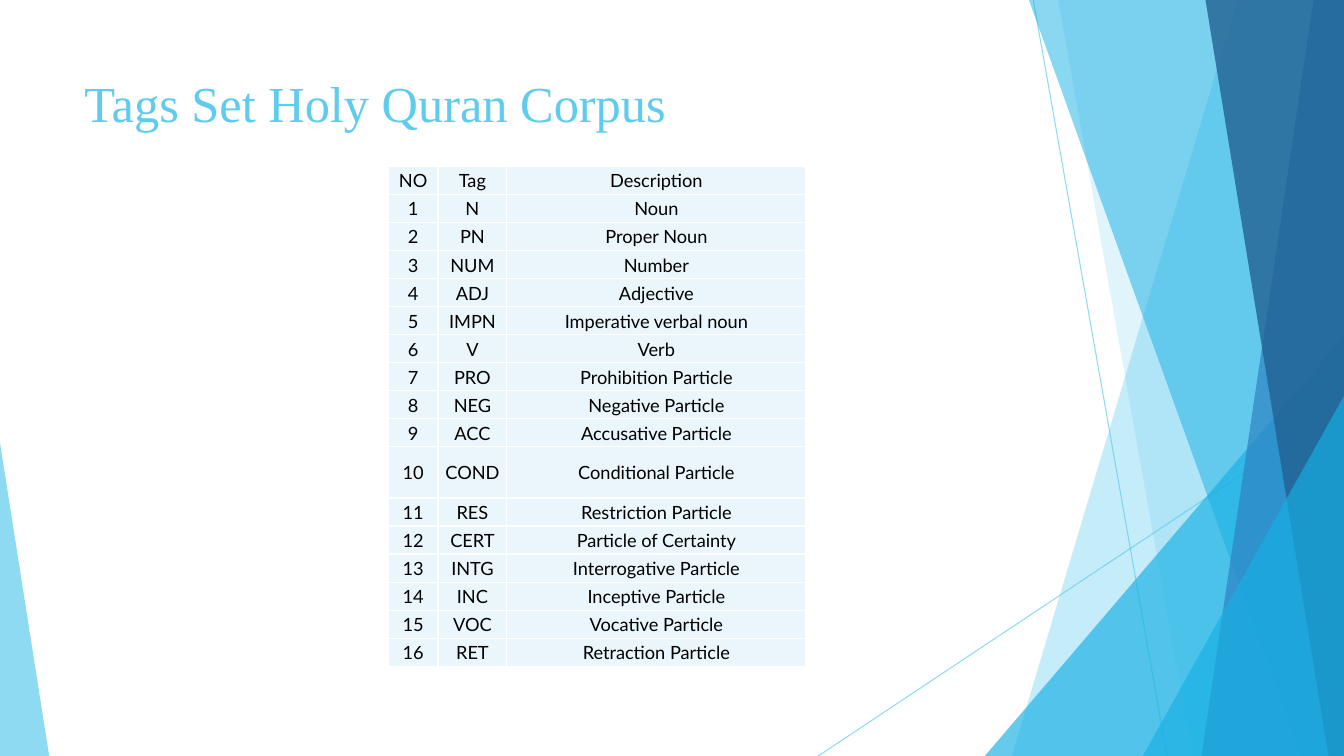
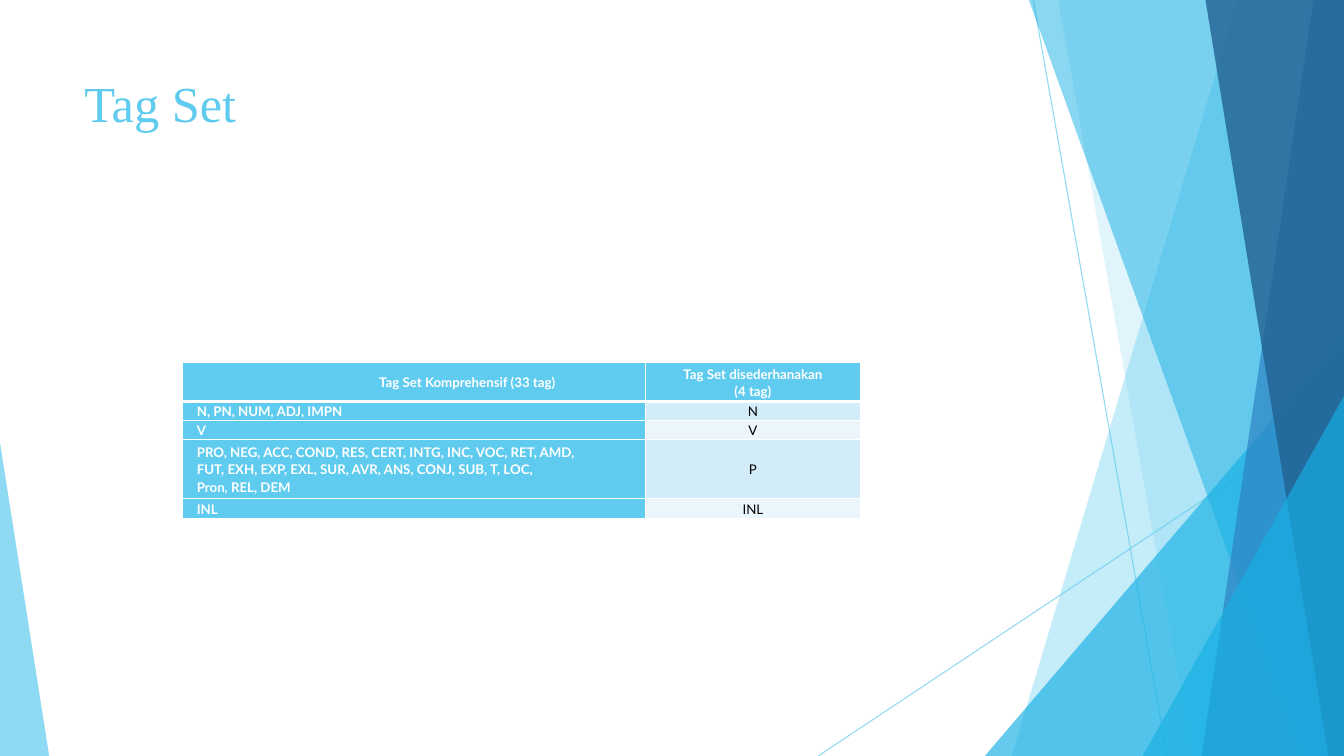
from lxml import etree
from pptx import Presentation
from pptx.dml.color import RGBColor
from pptx.enum.shapes import MSO_CONNECTOR, MSO_SHAPE
from pptx.enum.text import MSO_ANCHOR, PP_ALIGN
from pptx.oxml.ns import qn
from pptx.util import Cm, Pt

STRAIGHT = MSO_CONNECTOR.STRAIGHT
TRIANGLE = MSO_SHAPE.ISOSCELES_TRIANGLE
MIDDLE = MSO_ANCHOR.MIDDLE
CENTER, LEFT = PP_ALIGN.CENTER, PP_ALIGN.LEFT

COLORS = {
    "sky": "5FCBEF", "cyan": "17B0E4", "blue": "2E83C3", "navy": "226292",
    "pale": "EAF6FC", "light": "D2ECF9", "white": "FFFFFF", "black": "000000",
}
WIDTH, HEIGHT = 33.87, 19.05
TITLE_FONT, TABLE_FONT = "Times New Roman", "Lato"

# Start x, start y, end x, end y
RAYS = [(26.04, 0, 29.41, HEIGHT), (WIDTH, 10.24, 20.62, HEIGHT)]

# Back to front. A band runs to the right edge: top x, bottom x.
# A peak stands on the bottom edge: left, top, width, apex position.
FACETS = [
    ("band", (31.19, 25.5), "sky", 36),
    ("band", (26.67, 30.05), "sky", 20),
    ("peak", (24.82, 8.46, 9.05, 1), "cyan", 66),
    ("band", (25.93, 32.79), "cyan", 50),
    ("band", (33.1, 30.28), "blue", 70),
    ("band", (30.38, 33.48), "navy", 80),
    ("peak", (28.8, 9.98, 5.07, 1), "cyan", 66),
    ("peak", (0, 11.15, 1.24, 0), "sky", 70),
]


def add_page(deck, title):
    """Add a slide with the faceted backdrop and its title."""
    page = deck.slides.add_slide(deck.slide_layouts[6])
    shapes = page.shapes
    painted = []
    for ray in RAYS:
        line = shapes.add_connector(STRAIGHT, *[Cm(value) for value in ray])
        line.line.color.rgb = RGBColor.from_string(COLORS["sky"])
        line.line.width = Pt(0.75)
        etree.SubElement(line._element.spPr, qn("a:effectLst"))
        painted.append((line, 70))
    for kind, numbers, color, opacity in FACETS:
        if kind == "band":
            top_x, bottom_x = numbers
            builder = shapes.build_freeform(Cm(top_x), 0)
            corners = [(WIDTH, 0), (WIDTH, HEIGHT), (bottom_x, HEIGHT)]
            builder.add_line_segments([(Cm(x), Cm(y)) for x, y in corners])
            facet = builder.convert_to_shape()
        else:
            left, top, width, apex = numbers
            facet = shapes.add_shape(
                TRIANGLE, Cm(left), Cm(top), Cm(width), Cm(HEIGHT - top))
            facet.adjustments[0] = apex
        facet.shadow.inherit = False
        facet.fill.solid()
        facet.fill.fore_color.rgb = RGBColor.from_string(COLORS[color])
        facet.line.fill.background()
        painted.append((facet, opacity))
    for shape, opacity in painted:
        paint = next(shape._element.spPr.iter(qn("a:srgbClr")))
        etree.SubElement(paint, qn("a:alpha"), val=str(opacity * 1000))

    box = shapes.add_textbox(Cm(1.88), Cm(1.7), Cm(23.88), Cm(3.66))
    box.text_frame.word_wrap = True
    para = box.text_frame.paragraphs[0]
    para.text = title
    para.font.name, para.font.size = TITLE_FONT, Pt(36)
    para.font.color.rgb = RGBColor.from_string(COLORS["sky"])
    return page


def add_grid(page, left, top, widths, heights, rows, insets, size, heading_rule=1):
    """Add a table with white rules; a cell is (text, fill, ink, bold, align, indent)."""
    frame = page.shapes.add_table(len(rows), len(widths), Cm(left), Cm(top),
                                  Cm(sum(widths)), Cm(sum(heights)))
    table = frame.table
    table.first_row = table.horz_banding = False
    for column, width in zip(table.columns, widths):
        column.width = Cm(width)
    for row_index, (cells, height) in enumerate(zip(rows, heights)):
        table.rows[row_index].height = Cm(height)
        for column_index, (text, fill, ink, bold, align, indent) in enumerate(cells):
            cell = table.cell(row_index, column_index)
            cell.vertical_anchor = MIDDLE
            side, above = insets
            cell.margin_left = cell.margin_right = Cm(side)
            cell.margin_top, cell.margin_bottom = Cm(above), 0
            for edge in "LRTB":
                under_heading = (row_index, edge) in ((0, "B"), (1, "T"))
                rule = etree.SubElement(
                    cell._tc.get_or_add_tcPr(), qn(f"a:ln{edge}"),
                    w=str(Pt(heading_rule if under_heading else 1)))
                solid = etree.SubElement(rule, qn("a:solidFill"))
                etree.SubElement(solid, qn("a:srgbClr"), val=COLORS["white"])
            cell.fill.solid()
            cell.fill.fore_color.rgb = RGBColor.from_string(COLORS[fill])
            cell.text_frame.text = text
            for para in cell.text_frame.paragraphs:
                para.alignment = align
                para.font.name, para.font.size = TABLE_FONT, Pt(size)
                para.font.bold = bold
                para.font.color.rgb = RGBColor.from_string(COLORS[ink])
                if indent:
                    para._p.get_or_add_pPr().set("marL", str(Cm(indent)))
    return table


deck = Presentation()
deck.slide_width, deck.slide_height = Cm(WIDTH), Cm(HEIGHT)

# Slide 1: the numbered tags
TAGS = [
    ("N", "Noun"), ("PN", "Proper Noun"), ("NUM", "Number"),
    ("ADJ", "Adjective"), ("IMPN", "Imperative verbal noun"), ("V", "Verb"),
    ("PRO", "Prohibition Particle"), ("NEG", "Negative Particle"),
    ("ACC", "Accusative Particle"), ("COND", "Conditional Particle"),
    ("RES", "Restriction Particle"), ("CERT", "Particle of Certainty"),
    ("INTG", "Interrogative Particle"), ("INC", "Inceptive Particle"),
    ("VOC", "Vocative Particle"), ("RET", "Retraction Particle"),
]
page = add_page(deck, "Tags Set Holy Quran Corpus")
tag_lines = [("NO", "Tag", "Description")]
tag_lines += [(str(number), *tag) for number, tag in enumerate(TAGS, 1)]
tag_rows = [[(text, "pale", "black", False, CENTER, 0) for text in line]
            for line in tag_lines]
tall_row, table_height = 1.3, 12.6
plain_row = (table_height - tall_row) / len(TAGS)
tag_heights = [tall_row if line[1] == "COND" else plain_row for line in tag_lines]
add_grid(page, 9.78, 4.19, [1.26, 1.73, 7.54], tag_heights, tag_rows,
         insets=(0.03, 0.03), size=13)

# Slide 2: the full set mapped to the simplified one
GROUPS = [
    ("N, PN, NUM, ADJ, IMPN", "N"),
    ("V", "V"),
    ("PRO, NEG, ACC, COND, RES, CERT, INTG, INC, VOC, RET, AMD,\n"
     "FUT, EXH, EXP, EXL, SUR, AVR, ANS, CONJ, SUB, T, LOC,\n"
     "Pron, REL, DEM", "P"),
    ("INL", "INL"),
]
page = add_page(deck, "Tag Set")
group_rows = [[
    ("Tag Set Komprehensif (33 tag)", "sky", "white", True, CENTER, 2.69),
    ("Tag Set disederhanakan\n(4 tag)", "sky", "white", True, CENTER, 0),
]]
for index, (members, simple) in enumerate(GROUPS):
    group_rows.append([
        (members, "sky", "white", True, LEFT, 0.18),
        (simple, ("light", "pale")[index % 2], "black", False, CENTER, 0),
    ])
table = add_grid(page, 4.6, 9.13, [11.66, 5.43], [0.99, 0.48, 0.48, 1.49, 0.5],
                 group_rows, insets=(0.18, 0), size=9.5, heading_rule=3)
for cell in table.iter_cells():
    for para in cell.text_frame.paragraphs:
        para.line_spacing = 1.07

deck.save("out.pptx")
